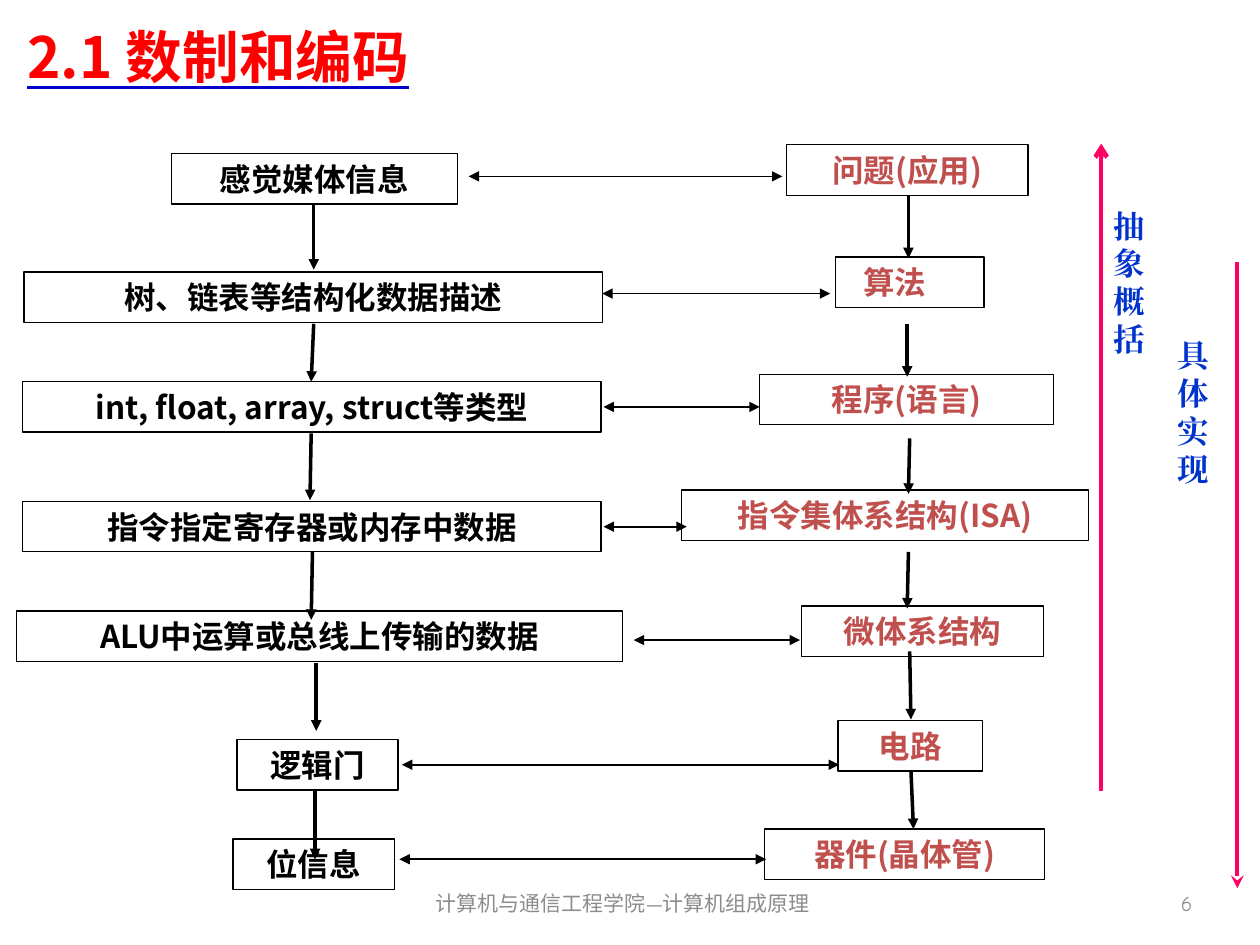
from typing import NamedTuple

from lxml.etree import SubElement
from pptx import Presentation
from pptx.dml.color import RGBColor
from pptx.enum.shapes import MSO_CONNECTOR, MSO_SHAPE
from pptx.enum.text import MSO_ANCHOR, PP_ALIGN
from pptx.oxml import parse_xml
from pptx.oxml.ns import nsdecls, qn
from pptx.util import Inches, Pt

SANS = "Noto Sans CJK SC"
BLACK, RED, BLUE, PINK, BRICK, GREY = (
    "000000", "FF0000", "0033CC", "FF0066", "C0504D", "8C8C8C")
BOX_HEIGHT = 0.4


class Box(NamedTuple):
    text: str
    left: float
    top: float
    width: float
    align: PP_ALIGN = PP_ALIGN.CENTER
    left_margin: float = 0.1
    right_margin: float = 0.1


class Line(NamedTuple):
    start_x: float
    start_y: float
    end_x: float
    end_y: float


def color(value: str) -> RGBColor:
    return RGBColor.from_string(value)


def write(shape, text: str, *, size: float = 18, font: str = SANS,
          text_color: str = BLACK, bold: bool = True,
          align: PP_ALIGN = PP_ALIGN.LEFT, anchor=MSO_ANCHOR.MIDDLE,
          left_margin: float = 0.1, right_margin: float = 0.1,
          line_spacing=None, underline: str = ""):
    frame = shape.text_frame
    frame.word_wrap = True
    frame.vertical_anchor = anchor
    frame.margin_left = Inches(left_margin)
    frame.margin_right = Inches(right_margin)
    paragraph = frame.paragraphs[0]
    paragraph.alignment = align
    if line_spacing:
        paragraph.line_spacing = line_spacing
    run = paragraph.add_run()
    run.text = text
    run.font.size = Pt(size)
    run.font.bold = bold
    run.font.color.rgb = color(text_color)
    properties = run.font._element
    if underline:
        run.font.underline = True
        properties.append(parse_xml(
            f'<a:uFill {nsdecls("a")}><a:solidFill>'
            f'<a:srgbClr val="{underline}"/></a:solidFill></a:uFill>'))
    for tag in ("a:latin", "a:ea"):
        SubElement(properties, qn(tag)).set("typeface", font)


def add_text(slide, text: str, left: float, top: float, width: float,
             height: float, **text_format):
    shape = slide.shapes.add_textbox(
        Inches(left), Inches(top), Inches(width), Inches(height))
    write(shape, text, **text_format)


def add_box(slide, box: Box, text_color: str):
    shape = slide.shapes.add_shape(
        MSO_SHAPE.RECTANGLE, Inches(box.left), Inches(box.top),
        Inches(box.width), Inches(BOX_HEIGHT))
    shape.shadow.inherit = False
    shape.fill.background()
    shape.line.color.rgb = color(BLACK)
    shape.line.width = Pt(0.75)
    write(shape, box.text, text_color=text_color, align=box.align,
          left_margin=box.left_margin, right_margin=box.right_margin)


def add_line(slide, line: Line, *, width: float, line_color: str = BLACK,
             head: str = "", tail: str = ""):
    connector = slide.shapes.add_connector(
        MSO_CONNECTOR.STRAIGHT, Inches(line.start_x), Inches(line.start_y),
        Inches(line.end_x), Inches(line.end_y))
    connector.line.color.rgb = color(line_color)
    connector.line.width = Pt(width)
    outline = connector.line._get_or_add_ln()
    for tag, kind in (("a:headEnd", head), ("a:tailEnd", tail)):
        if kind:
            SubElement(outline, qn(tag)).set("type", kind)
    SubElement(connector._element.spPr, qn("a:effectLst"))


DATA_BOXES = [
    Box("感觉媒体信息", 1.36, 1.22, 2.27),
    Box("树、链表等结构化数据描述", 0.19, 2.16, 4.59),
    Box("int, float, array, struct等类型", 0.18, 3.03, 4.59),
    Box("指令指定寄存器或内存中数据", 0.18, 3.98, 4.59),
    Box("ALU中运算或总线上传输的数据", 0.13, 4.85, 4.81),
    Box("逻辑门", 1.88, 5.87, 1.28),
    Box("位信息", 1.85, 6.66, 1.28),
]
SYSTEM_BOXES = [
    Box("问题(应用)", 6.24, 1.15, 1.92),
    Box("算法", 6.63, 2.04, 1.18, PP_ALIGN.LEFT, left_margin=0.22),
    Box("程序(语言)", 6.03, 2.97, 2.33),
    Box("指令集体系结构(ISA)", 5.41, 3.89, 3.23, left_margin=0, right_margin=0),
    Box("微体系结构", 6.36, 4.81, 1.92),
    Box("电路", 6.65, 5.72, 1.15),
    Box("器件(晶体管)", 6.07, 6.58, 2.22),
]
DOWN_ARROWS = [
    # Data column
    Line(2.49, 1.62, 2.49, 2.14), Line(2.49, 2.57, 2.47, 3.03),
    Line(2.47, 3.44, 2.46, 3.97), Line(2.48, 4.38, 2.47, 4.92),
    Line(2.51, 5.26, 2.51, 5.8), Line(2.5, 6.28, 2.5, 6.82),
    # System column
    Line(7.21, 1.55, 7.21, 2.05), Line(7.2, 2.57, 7.2, 2.99),
    Line(7.22, 3.48, 7.21, 3.92), Line(7.21, 4.38, 7.2, 4.83),
    Line(7.22, 5.17, 7.23, 5.71), Line(7.23, 6.12, 7.25, 6.58),
]
# Right end, left end and height of each link between the columns
LINKS = [(6.21, 3.72, 1.4), (6.59, 4.78, 2.33), (6.03, 4.79, 3.23),
         (5.45, 4.79, 4.18), (6.35, 5.03, 5.08), (6.66, 3.19, 6.07),
         (6.08, 3.17, 6.82)]


def main():
    presentation = Presentation()
    presentation.slide_width = Inches(10)
    presentation.slide_height = Inches(7.5)
    slide = presentation.slides.add_slide(presentation.slide_layouts[6])

    # Title and footer
    add_text(slide, "2.1 数制和编码", 0.12, 0.21, 9, 0.47, size=32.4,
             text_color=RED, underline="0000CC")
    footer = dict(size=12, font="Comic Neue", text_color=GREY, bold=False)
    add_text(slide, "计算机与通信工程学院—计算机组成原理", 3.09, 6.97, 3.71, 0.4,
             align=PP_ALIGN.CENTER, **footer)
    add_text(slide, "6", 7.23, 6.97, 2.33, 0.4, align=PP_ALIGN.RIGHT, **footer)

    # Abstraction and implementation arrows
    add_line(slide, Line(9.82, 2.08, 9.82, 7.05), width=2.5, line_color=PINK,
             tail="stealth")
    add_line(slide, Line(8.74, 1.14, 8.74, 6.28), width=2.5, line_color=PINK,
             head="arrow")
    for label, left, top in (("具体实现", 9.25, 2.62), ("抽象概括", 8.74, 1.59)):
        add_text(slide, label, left, top, 0.52, 1.31, font="Times New Roman",
                 text_color=BLUE, anchor=MSO_ANCHOR.TOP)

    # Both columns of levels
    for boxes, text_color in ((DATA_BOXES, BLACK), (SYSTEM_BOXES, BRICK)):
        for box in boxes:
            add_box(slide, box, text_color)

    # Arrows down the columns and links across
    for arrow in DOWN_ARROWS:
        add_line(slide, arrow, width=2, tail="triangle")
    for right, left, height in LINKS:
        add_line(slide, Line(right, height, left, height), width=1,
                 head="triangle", tail="triangle")

    presentation.save("out.pptx")


if __name__ == "__main__":
    main()
